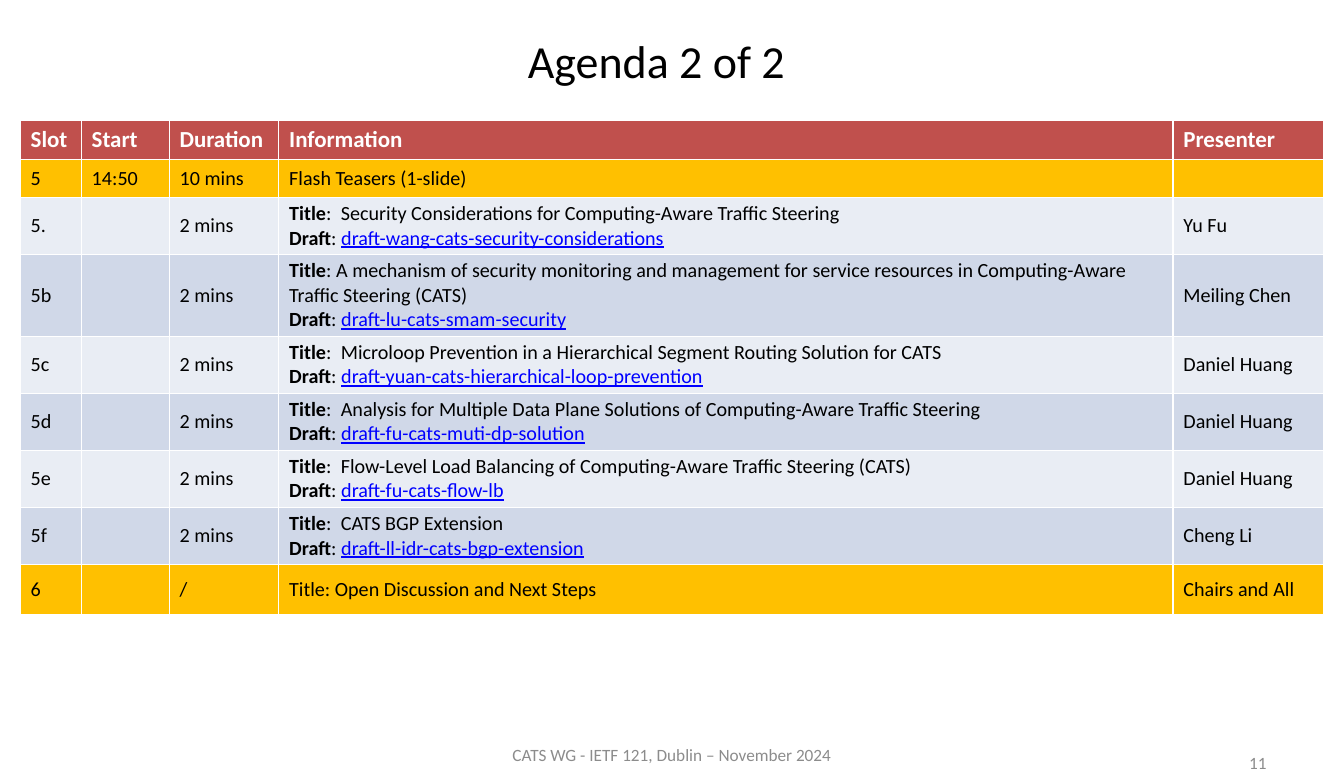
import lxml.etree
import pptx
import pptx.dml.color
import pptx.enum.text
import pptx.oxml.ns
import pptx.util

Cm = pptx.util.Cm
Pt = pptx.util.Pt
RGBColor = pptx.dml.color.RGBColor
ALIGN = pptx.enum.text.PP_ALIGN
MIDDLE = pptx.enum.text.MSO_ANCHOR.MIDDLE
qn = pptx.oxml.ns.qn

BLACK = RGBColor(0x00, 0x00, 0x00)
WHITE = RGBColor(0xFF, 0xFF, 0xFF)
GRAY = RGBColor(0x8C, 0x8C, 0x8C)
RED = RGBColor(0xC0, 0x50, 0x4D)
GOLD = RGBColor(0xFF, 0xC0, 0x00)
LIGHT_BAND = RGBColor(0xE9, 0xED, 0xF4)
DARK_BAND = RGBColor(0xD0, 0xD8, 0xE8)
LINK_BLUE = RGBColor(0x00, 0x00, 0xFF)

HEADER = {"size": Pt(16), "bold": True}
BODY = {"size": Pt(14), "bold": False}
LABEL = {"size": Pt(14), "bold": True}
DRAFT = {"size": Pt(14), "bold": False, "underline": True}
SMALL = {"size": Pt(12)}


def add_run(paragraph, text, format_values, color):
    run = paragraph.add_run()
    run.text = text
    run.font.name = "Calibri"
    run.font.color.rgb = color
    for name, value in format_values.items():
        setattr(run.font, name, value)


def add_tab_stop(paragraph, position):
    properties = paragraph._p.get_or_add_pPr()
    tabs = lxml.etree.SubElement(properties, qn("a:tabLst"))
    lxml.etree.SubElement(tabs, qn("a:tab"), pos=str(position), algn="l")


presentation = pptx.Presentation()
presentation.slide_width = Cm(33.02)
presentation.slide_height = Cm(19.05)
slide = presentation.slides.add_slide(presentation.slide_layouts[5])

title = slide.shapes.title
title.left, title.top, title.width, title.height = Cm(1.27), Cm(0.84), Cm(29.72), Cm(1.3)
title.text_frame.vertical_anchor = MIDDLE
title_paragraph = title.text_frame.paragraphs[0]
title_paragraph.alignment = ALIGN.CENTER
add_run(title_paragraph, "Agenda 2 of 2", {"size": Pt(32)}, BLACK)

# A talk's information is a pair: the separator with its title, and its draft.
agenda = [
    ("Slot", "Start", "Duration", "Information", "Presenter"),
    ("5", "14:50", "10 mins", "Flash Teasers (1-slide)", ""),
    ("5.", "", "2 mins",
     (":\tSecurity Considerations for Computing-Aware Traffic Steering",
      "draft-wang-cats-security-considerations"), "Yu Fu"),
    ("5b", "", "2 mins",
     (": A mechanism of security monitoring and management for service resources "
      "in Computing-Aware Traffic Steering (CATS)",
      "draft-lu-cats-smam-security"), "Meiling Chen"),
    ("5c", "", "2 mins",
     (":\tMicroloop Prevention in a Hierarchical Segment Routing Solution for CATS",
      "draft-yuan-cats-hierarchical-loop-prevention"), "Daniel Huang"),
    ("5d", "", "2 mins",
     (":\tAnalysis for Multiple Data Plane Solutions of Computing-Aware Traffic Steering",
      "draft-fu-cats-muti-dp-solution"), "Daniel Huang"),
    ("5e", "", "2 mins",
     (":\tFlow-Level Load Balancing of Computing-Aware Traffic Steering (CATS)",
      "draft-fu-cats-flow-lb"), "Daniel Huang"),
    ("5f", "", "2 mins",
     (":\tCATS BGP Extension", "draft-ll-idr-cats-bgp-extension"), "Cheng Li"),
    ("6", "", "/", "Title: Open Discussion and Next Steps", "Chairs and All"),
]
column_widths = [1.5, 2.16, 2.69, 21.97, 3.71]
row_heights = [0.94] * 2 + [1.4] * 6 + [1.24]
row_fills = [RED, GOLD] + [LIGHT_BAND, DARK_BAND] * 3 + [GOLD]

table = slide.shapes.add_table(
    len(agenda), len(column_widths), Cm(0.5), Cm(2.97),
    Cm(sum(column_widths)), Cm(sum(row_heights))).table
for column, width in zip(table.columns, column_widths):
    column.width = Cm(width)

for row_index, entries in enumerate(agenda):
    table.rows[row_index].height = Cm(row_heights[row_index])
    is_header = row_index == 0
    for column_index, entry in enumerate(entries):
        cell = table.cell(row_index, column_index)
        cell.fill.solid()
        cell.fill.fore_color.rgb = row_fills[row_index]
        if not is_header:
            cell.vertical_anchor = MIDDLE
            cell.margin_top = cell.margin_bottom = Cm(0.1)
        paragraph = cell.text_frame.paragraphs[0]
        if isinstance(entry, tuple):
            talk_title, draft_name = entry
            add_tab_stop(paragraph, Cm(1.27))
            add_run(paragraph, "Title", LABEL, BLACK)
            add_run(paragraph, talk_title, BODY, BLACK)
            draft_paragraph = cell.text_frame.add_paragraph()
            add_run(draft_paragraph, "Draft", LABEL, BLACK)
            add_run(draft_paragraph, ": ", BODY, BLACK)
            add_run(draft_paragraph, draft_name, DRAFT, LINK_BLUE)
        elif entry:
            add_run(paragraph, entry, HEADER if is_header else BODY,
                    WHITE if is_header else BLACK)
        else:
            # Keeps an empty cell from stretching its row.
            lxml.etree.SubElement(paragraph._p, qn("a:endParaRPr"), sz="1400")

for text, left, top, width, alignment in [
    ("CATS WG - IETF 121, Dublin – November 2024", 11.28, 18.03, 10.46, ALIGN.CENTER),
    ("11", 23.67, 18.24, 7.7, ALIGN.RIGHT),
]:
    text_box = slide.shapes.add_textbox(Cm(left), Cm(top), Cm(width), Cm(1.02))
    text_box.text_frame.word_wrap = True
    text_box.text_frame.vertical_anchor = MIDDLE
    paragraph = text_box.text_frame.paragraphs[0]
    paragraph.alignment = alignment
    add_run(paragraph, text, SMALL, GRAY)

presentation.save("out.pptx")
